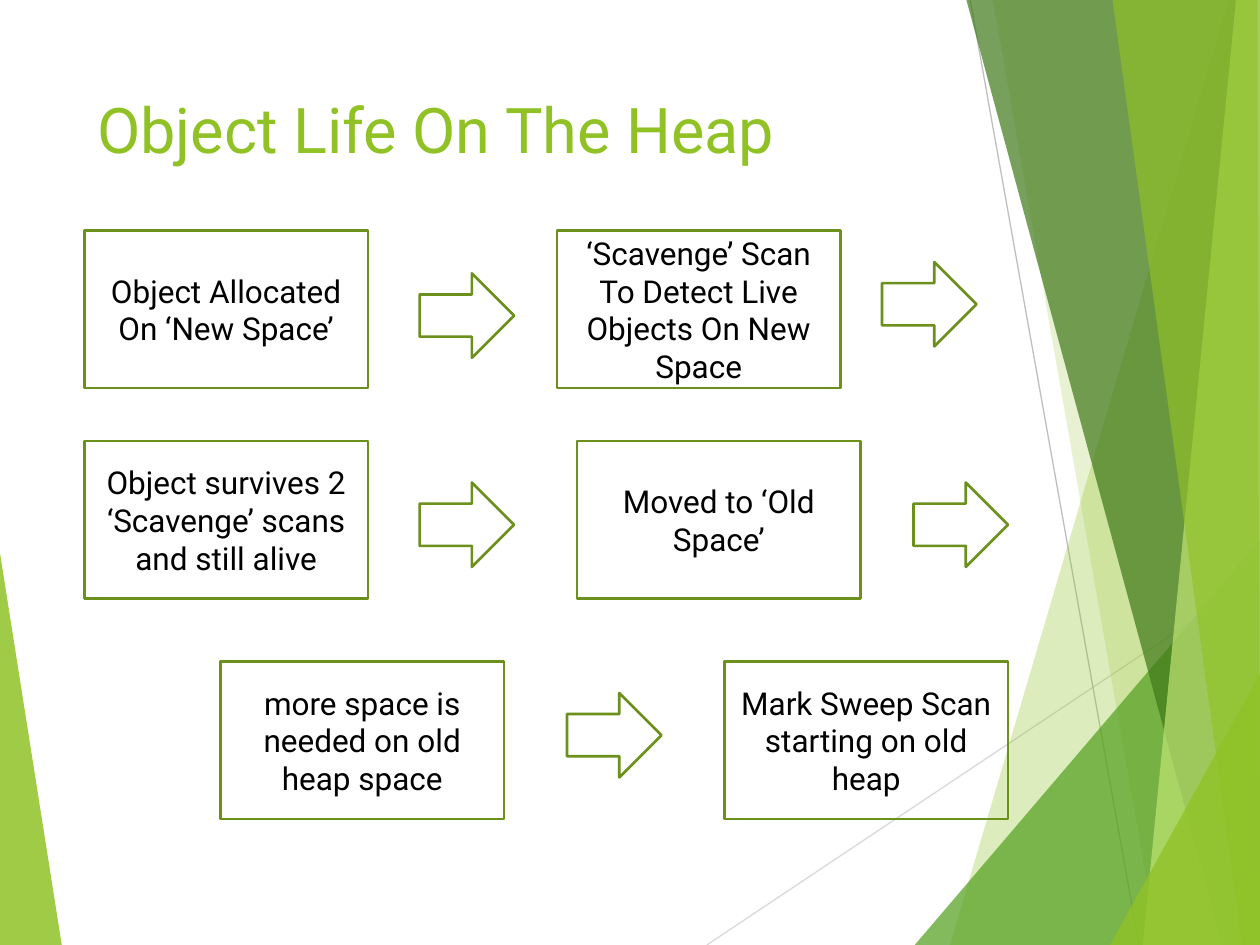
from typing import NamedTuple

from lxml.etree import SubElement
from pptx import Presentation
from pptx.dml.color import RGBColor
from pptx.enum.shapes import MSO_CONNECTOR, MSO_SHAPE
from pptx.enum.text import MSO_ANCHOR as Anchor, MSO_AUTO_SIZE as AutoSize, PP_ALIGN as Align
from pptx.oxml.ns import qn
from pptx.util import Inches, Pt

LIME = RGBColor(0x90, 0xC2, 0x26)
GREEN = RGBColor(0x54, 0xA0, 0x21)
FOREST = RGBColor(0x3F, 0x78, 0x19)
PALE_LIME = RGBColor(0xC0, 0xE4, 0x74)
OLIVE = RGBColor(0x6B, 0x90, 0x1C)
LIGHT_GREY = RGBColor(0xD9, 0xD9, 0xD9)
GREY = RGBColor(0xBF, 0xBF, 0xBF)
BLACK = RGBColor(0, 0, 0)

WIDTH, HEIGHT = 10, 7.5
STEP_SIZE = (2.25, 1.25)
ARROW_SIZE = (0.75, 0.67)
TITLE_FONT = {"name": "Roboto", "size": Pt(36)}
STEP_FONT = {"name": "Roboto", "size": Pt(18)}


class Facet(NamedTuple):
    color: RGBColor
    opacity: int
    points: list[tuple[float, float]]


class Ray(NamedTuple):
    color: RGBColor
    start: tuple[float, float]
    end: tuple[float, float]


class Step(NamedTuple):
    left: float
    top: float
    text: str


class Arrow(NamedTuple):
    left: float
    top: float


RIGHT_TOP, RIGHT_BOTTOM = (WIDTH, 0), (WIDTH, HEIGHT)

LEFT_FACET = Facet(LIME, 85, [(0, 4.39), (0.49, HEIGHT), (0, HEIGHT)])
RAYS = [
    Ray(LIGHT_GREY, (5.61, HEIGHT), (WIDTH, 4.57)),
    Ray(GREY, (7.7, 0), (9.04, HEIGHT)),
]
RIGHT_FACETS = [
    Facet(LIME, 30, [(9.75, 0), (7.54, HEIGHT), RIGHT_BOTTOM, RIGHT_TOP]),
    Facet(LIME, 20, [(7.88, 0), (9.19, HEIGHT), RIGHT_BOTTOM, RIGHT_TOP]),
    Facet(GREEN, 72, [(7.26, HEIGHT), (WIDTH, 4.29), RIGHT_BOTTOM]),
    Facet(FOREST, 70, [(7.67, 0), (9.7, HEIGHT), RIGHT_BOTTOM, RIGHT_TOP]),
    Facet(PALE_LIME, 70, [(9.81, 0), (9.07, HEIGHT), RIGHT_BOTTOM, RIGHT_TOP]),
    Facet(LIME, 65, [(8.83, 0), (9.86, HEIGHT), RIGHT_BOTTOM, (9.98, 0)]),
    Facet(LIME, 80, [(8.81, HEIGHT), (WIDTH, 5.35), RIGHT_BOTTOM]),
]

STEPS = [
    Step(0.67, 1.83, "Object Allocated On ‘New Space’"),
    Step(4.42, 1.83, "‘Scavenge’ Scan To Detect Live Objects On New Space"),
    Step(0.67, 3.5, "Object survives 2 ‘Scavenge’ scans and still alive"),
    Step(4.58, 3.5, "Moved to ‘Old Space’"),
    Step(1.75, 5.25, "more space is needed on old heap space"),
    Step(5.75, 5.25, "Mark Sweep Scan starting on old heap"),
]
ARROWS = [
    Arrow(3.33, 2.17),
    Arrow(7, 2.08),
    Arrow(3.33, 3.83),
    Arrow(7.25, 3.83),
    Arrow(4.5, 5.5),
]


def style_font(font, values: dict, color: RGBColor) -> None:
    for attribute, value in values.items():
        setattr(font, attribute, value)
    font.color.rgb = color


def draw_facet(shapes, facet: Facet) -> None:
    corners = [(Inches(x), Inches(y)) for x, y in facet.points]
    outline = shapes.build_freeform(*corners[0])
    outline.add_line_segments(corners[1:], close=True)
    pane = outline.convert_to_shape()
    pane.shadow.inherit = False
    pane.line.fill.background()
    pane.fill.solid()
    pane.fill.fore_color.rgb = facet.color
    color = pane.fill._xPr.find(qn("a:solidFill"))[0]
    SubElement(color, qn("a:alpha"), val=str(facet.opacity * 1000))


def draw_ray(shapes, ray: Ray) -> None:
    ends = [Inches(value) for value in (*ray.start, *ray.end)]
    beam = shapes.add_connector(MSO_CONNECTOR.STRAIGHT, *ends)
    beam.line.color.rgb = ray.color
    beam.line.width = Pt(0.75)
    SubElement(beam._element.spPr, qn("a:effectLst"))


def draw_outlined(shapes, preset, left: float, top: float, size: tuple[float, float]):
    outlined = shapes.add_shape(preset, *map(Inches, (left, top, *size)))
    outlined.shadow.inherit = False
    outlined.fill.background()
    outlined.line.color.rgb = OLIVE
    outlined.line.width = Pt(1.5)
    return outlined


def draw_step(shapes, step: Step) -> None:
    box = draw_outlined(shapes, MSO_SHAPE.RECTANGLE, step.left, step.top, STEP_SIZE)
    frame = box.text_frame
    frame.word_wrap = True
    frame.vertical_anchor = Anchor.MIDDLE
    frame.text = step.text
    frame.paragraphs[0].alignment = Align.CENTER
    style_font(frame.paragraphs[0].runs[0].font, STEP_FONT, BLACK)


def fill_title(title, text: str) -> None:
    title.left, title.top, title.width, title.height = map(Inches, (0.67, 0.67, 6.94, 1.44))
    frame = title.text_frame
    frame.text = text
    frame.word_wrap = True
    frame.auto_size = AutoSize.NONE
    frame.vertical_anchor = Anchor.TOP
    frame.paragraphs[0].alignment = Align.LEFT
    style_font(frame.paragraphs[0].runs[0].font, TITLE_FONT, LIME)


def main() -> None:
    deck = Presentation()
    deck.slide_width, deck.slide_height = Inches(WIDTH), Inches(HEIGHT)
    slide = deck.slides.add_slide(deck.slide_layouts[5])
    shapes = slide.shapes

    # Faceted backdrop
    draw_facet(shapes, LEFT_FACET)
    for ray in RAYS:
        draw_ray(shapes, ray)
    for facet in RIGHT_FACETS:
        draw_facet(shapes, facet)

    # Title
    fill_title(shapes.title, "Object Life On The Heap")

    # Life cycle steps and the arrows between them
    for step in STEPS:
        draw_step(shapes, step)
    for arrow in ARROWS:
        draw_outlined(shapes, MSO_SHAPE.RIGHT_ARROW, arrow.left, arrow.top, ARROW_SIZE)

    deck.save("out.pptx")


if __name__ == "__main__":
    main()
